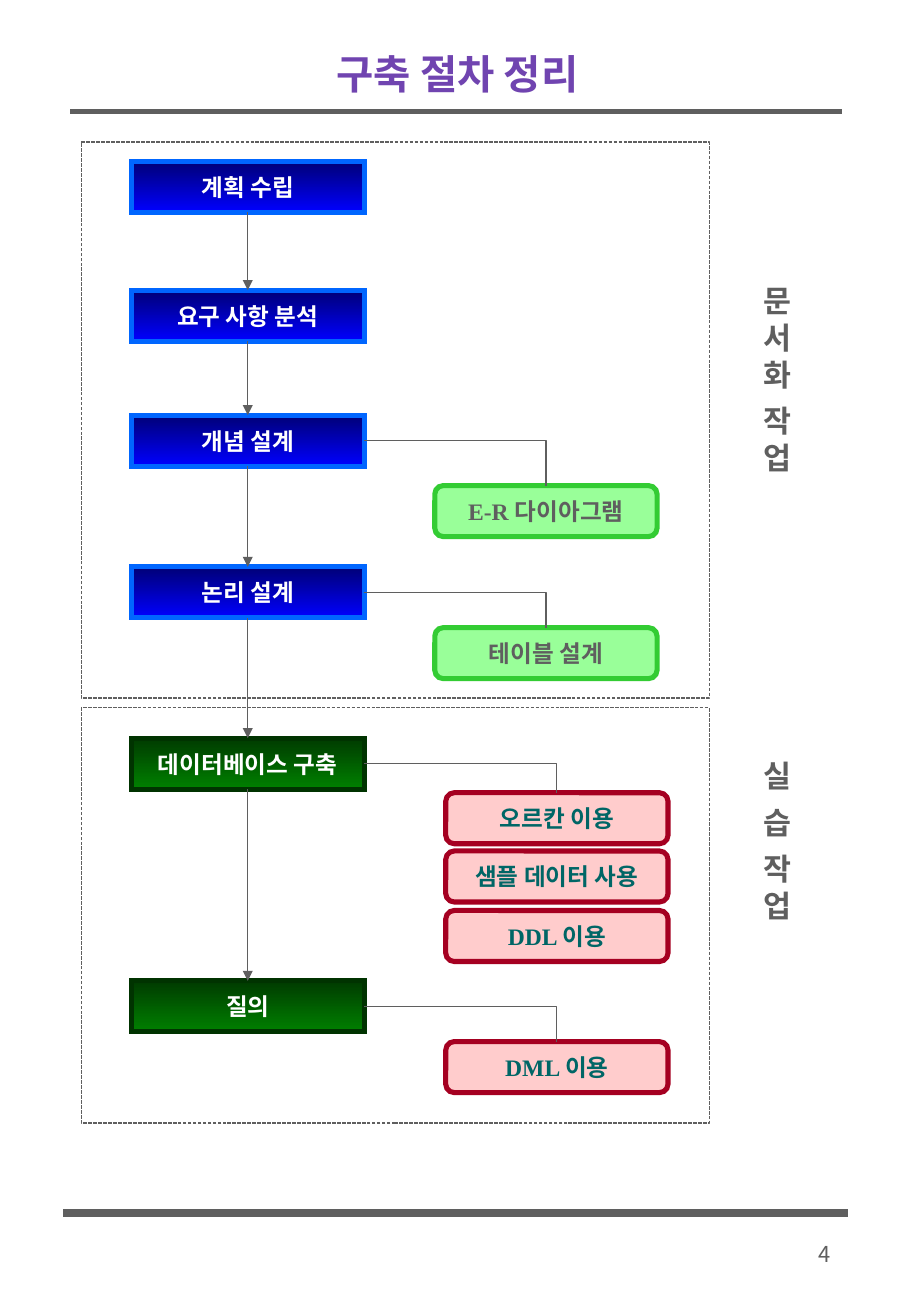
from dataclasses import dataclass
from typing import Optional

import pptx
import pptx.dml.color
import pptx.enum.dml
import pptx.enum.shapes
import pptx.enum.text
import pptx.oxml.ns
import pptx.util
from lxml import etree

EMU_PER_PX = 9144
LATIN = "Times New Roman"
HANGUL = "Noto Sans CJK KR"
SHAPES = pptx.enum.shapes.MSO_SHAPE
CONNECTORS = pptx.enum.shapes.MSO_CONNECTOR
ALIGN = pptx.enum.text.PP_ALIGN
ANCHOR = pptx.enum.text.MSO_ANCHOR
AUTO_SIZE = pptx.enum.text.MSO_AUTO_SIZE


@dataclass(frozen=True)
class Theme:
    ink: str = "5F5F5F"
    title: str = "7044B0"
    white: str = "FFFFFF"
    title_size: int = 24
    phase_size: int = 18
    box_size: int = 14
    number_size: int = 13
    hairline: float = 0.75
    outline: float = 3
    footer_line: float = 4.5
    wide_gap: int = 530


@dataclass(frozen=True)
class Style:
    fills: tuple[str, ...]
    border: str
    text: str


@dataclass(frozen=True)
class Note:
    text: str
    left: int
    top: int
    style: Style


@dataclass(frozen=True)
class Step:
    text: str
    top: int
    style: Style
    notes: tuple[Note, ...] = ()


@dataclass(frozen=True)
class Phase:
    words: tuple[str, ...]
    label_top: int
    frame_top: int
    frame_height: int


THEME = Theme()
DOCUMENT_STEP = Style(("000076", "0000FF"), "0066FF", THEME.white)
PRACTICE_STEP = Style(("003B00", "008000"), "003300", THEME.white)
DOCUMENT_NOTE = Style(("99FF99",), "33CC33", THEME.ink)
PRACTICE_NOTE = Style(("FFCCCC",), "A50021", "006666")

BUILD_NOTES = tuple(
    Note(text, 367, 653 + 97 * row // 2, PRACTICE_NOTE)
    for row, text in enumerate(("오르칸 이용", "샘플 데이터 사용", "DDL 이용"))
)
STEPS = (
    Step("계획 수립", 133, DOCUMENT_STEP),
    Step("요구 사항 분석", 239, DOCUMENT_STEP),
    Step("개념 설계", 342, DOCUMENT_STEP, (Note("E-R 다이아그램", 358, 400, DOCUMENT_NOTE),)),
    Step("논리 설계", 467, DOCUMENT_STEP, (Note("테이블 설계", 358, 517, DOCUMENT_NOTE),)),
    Step("데이터베이스 구축", 608, PRACTICE_STEP, BUILD_NOTES),
    Step("질의", 808, PRACTICE_STEP, (Note("DML 이용", 367, 858, PRACTICE_NOTE),)),
)
PHASES = (
    Phase(("문 서 화", "작 업"), 225, 117, 458),
    Phase(("실", "습", "작 업"), 617, 583, 342),
)


def px(length: int) -> pptx.util.Emu:
    return pptx.util.Emu(length * EMU_PER_PX)


def rgb(value: str) -> pptx.dml.color.RGBColor:
    return pptx.dml.color.RGBColor.from_string(value)


def format_paragraph(paragraph, size: int, color: str, latin: str, bold: bool, align) -> None:
    paragraph.alignment = align
    font = paragraph.font
    font.size = pptx.util.Pt(size)
    font.bold = bold
    font.color.rgb = rgb(color)
    font.name = latin
    defaults = paragraph._p.pPr.find(pptx.oxml.ns.qn("a:defRPr"))
    etree.SubElement(defaults, pptx.oxml.ns.qn("a:ea")).set("typeface", HANGUL)


def set_line(line, color: str, width: float) -> None:
    line.color.rgb = rgb(color)
    line.width = pptx.util.Pt(width)


def add_outline_part(shape, tag: str, attribute: str, value: str) -> None:
    outline = shape._element.spPr.find(pptx.oxml.ns.qn("a:ln"))
    etree.SubElement(outline, pptx.oxml.ns.qn(tag)).set(attribute, value)


def add_line(slide, kind, start: tuple[int, int], end: tuple[int, int], width: float):
    connector = slide.shapes.add_connector(kind, *map(px, start + end))
    set_line(connector.line, THEME.ink, width)
    etree.SubElement(connector._element.spPr, pptx.oxml.ns.qn("a:effectLst"))
    return connector


def join(slide, kind, source, source_side: int, target, target_side: int):
    connector = add_line(slide, kind, (0, 0), (0, 0), THEME.hairline)
    connector.begin_connect(source, source_side)
    connector.end_connect(target, target_side)
    return connector


def add_arrow(slide, source, target) -> None:
    arrow = join(slide, CONNECTORS.STRAIGHT, source, 2, target, 0)
    add_outline_part(arrow, "a:tailEnd", "type", "triangle")


def add_branch(slide, source, target) -> None:
    branch = join(slide, CONNECTORS.ELBOW, source, 3, target, 0)
    geometry = branch._element.spPr.find(pptx.oxml.ns.qn("a:prstGeom"))
    geometry.set("prst", "bentConnector2")


def add_box(slide, kind, text: str, left: int, top: int, width: int, style: Style):
    box = slide.shapes.add_shape(kind, px(left), px(top), px(width), px(42))
    box.shadow.inherit = False
    if len(style.fills) > 1:
        box.fill.gradient()
        box.fill.gradient_angle = 270
        for stop, color in zip(box.fill.gradient_stops, style.fills):
            stop.color.rgb = rgb(color)
    else:
        box.fill.solid()
        box.fill.fore_color.rgb = rgb(style.fills[0])
    set_line(box.line, style.border, THEME.outline)
    add_outline_part(box, "a:miter", "lim", "800000")
    frame = box.text_frame
    frame.word_wrap = False
    frame.vertical_anchor = ANCHOR.MIDDLE
    frame.text = text
    format_paragraph(frame.paragraphs[0], THEME.box_size, style.text, LATIN, True, ALIGN.CENTER)
    return box


def add_phase(slide, phase: Phase) -> None:
    border, label = (
        slide.shapes.add_shape(SHAPES.RECTANGLE, *map(px, bounds))
        for bounds in ((67, phase.frame_top, 517, phase.frame_height), (609, phase.label_top, 50, 258))
    )
    border.shadow.inherit = label.shadow.inherit = False
    border.fill.background()
    set_line(border.line, THEME.ink, THEME.hairline)
    border.line.dash_style = pptx.enum.dml.MSO_LINE.SQUARE_DOT

    label.fill.solid()
    label.fill.fore_color.rgb = rgb(THEME.white)
    label.line.fill.background()
    frame = label.text_frame
    frame.word_wrap = True
    frame.auto_size = AUTO_SIZE.SHAPE_TO_FIT_TEXT
    frame.vertical_anchor = ANCHOR.TOP
    frame.margin_left = frame.margin_right = px(5)
    frame.margin_top = frame.margin_bottom = px(10)
    frame._txBody.bodyPr.set("vert", "eaVert")
    paragraph = frame.paragraphs[0]
    format_paragraph(paragraph, THEME.phase_size, THEME.ink, LATIN, True, ALIGN.CENTER)
    for index, word in enumerate(phase.words):
        if index:
            gap = paragraph.add_run()
            gap.text = " "
            gap._r.get_or_add_rPr().set("spc", str(THEME.wide_gap))
        paragraph.add_run().text = word


def add_heading(slide) -> None:
    title = slide.shapes.title
    title.left, title.top, title.width, title.height = map(px, (58, 33, 637, 54))
    frame = title.text_frame
    frame.text = "구축 절차 정리"
    frame.auto_size = AUTO_SIZE.NONE
    frame.vertical_anchor = ANCHOR.MIDDLE
    format_paragraph(frame.paragraphs[0], THEME.title_size, THEME.title, HANGUL, True, ALIGN.CENTER)
    add_line(slide, CONNECTORS.STRAIGHT, (58, 92), (693, 92), THEME.outline)


def add_footer(slide) -> None:
    add_line(slide, CONNECTORS.STRAIGHT, (52, 999), (698, 999), THEME.footer_line)
    number = slide.shapes.add_textbox(px(592), px(1017), px(102), px(34)).text_frame
    number.word_wrap = True
    number.text = "4"
    format_paragraph(number.paragraphs[0], THEME.number_size, THEME.ink, HANGUL, False, ALIGN.RIGHT)


def main() -> None:
    deck = pptx.Presentation()
    deck.slide_width, deck.slide_height = px(750), px(1084)
    slide = deck.slides.add_slide(deck.slide_layouts[5])
    add_heading(slide)
    add_footer(slide)
    for phase in PHASES:
        add_phase(slide, phase)
    previous: Optional[object] = None
    for step in STEPS:
        box = add_box(slide, SHAPES.RECTANGLE, step.text, 108, step.top, 192, step.style)
        if previous is not None:
            add_arrow(slide, previous, box)
        notes = [
            add_box(slide, SHAPES.FLOWCHART_ALTERNATE_PROCESS, note.text, note.left, note.top, 183, note.style)
            for note in step.notes
        ]
        if notes:
            add_branch(slide, box, notes[0])
        previous = box
    deck.save("out.pptx")


if __name__ == "__main__":
    main()
